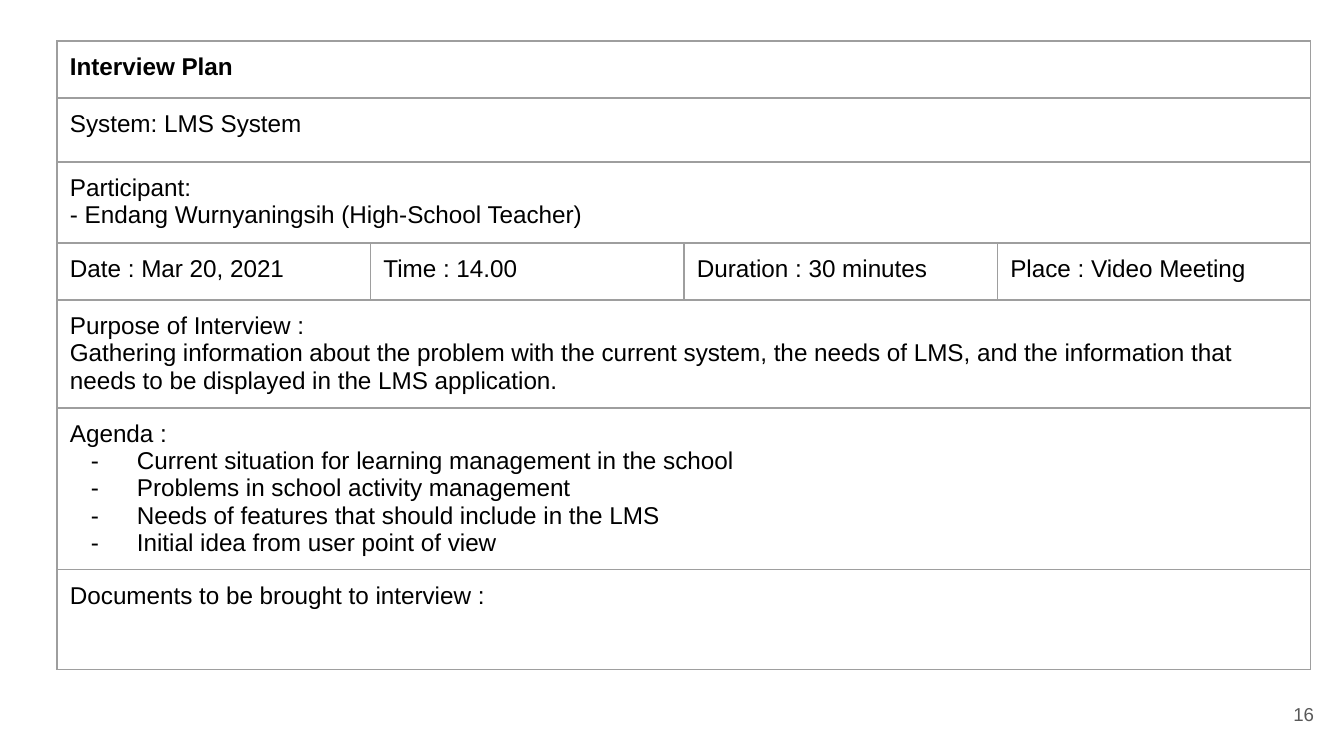
from lxml import etree
from pptx import Presentation
from pptx.dml.color import RGBColor
from pptx.enum.text import MSO_ANCHOR, PP_ALIGN
from pptx.oxml.ns import qn
from pptx.util import Pt

RIGHT = PP_ALIGN.RIGHT
MIDDLE = MSO_ANCHOR.MIDDLE
EMU_PER_PX = 914400 / 134.4
COLORS = {"text": "000000", "border": "9E9E9E", "number": "595959"}
PAD = 13
BORDER_WIDTH = 0.75


def px(n):
    return round(n * EMU_PER_PX)


def style(p, size, color, bold=False):
    for r in p.runs:
        r.font.name = "Arial"
        r.font.size = Pt(size)
        r.font.bold = bold
        r.font.color.rgb = RGBColor.from_string(COLORS[color])


prs = Presentation()
prs.slide_width, prs.slide_height = px(1344), px(756)
s = prs.slides.add_slide(prs.slide_layouts[6])

# Interview plan: row height and the cells of each row
rows = [
    (57, ["Interview Plan"]),
    (64, ["System: LMS System"]),
    (81, ["Participant:\n- Endang Wurnyaningsih (High-School Teacher)"]),
    (57, ["Date : Mar 20, 2021", "Time : 14.00",
          "Duration : 30 minutes", "Place : Video Meeting"]),
    (108, ["Purpose of Interview :\nGathering information about the problem "
           "with the current system, the needs of LMS, and the information "
           "that needs to be displayed in the LMS application."]),
    (162, ["Agenda :\nCurrent situation for learning management in the school\n"
           "Problems in school activity management\n"
           "Needs of features that should include in the LMS\n"
           "Initial idea from user point of view"]),
    (100, ["Documents to be brought to interview :"]),
]
COLS = 4
COL_WIDTH = 1254 / COLS
height = sum(h for h, _ in rows)
table = s.shapes.add_table(len(rows), COLS, px(57), px(41),
                           px(1254), px(height)).table
table.first_row = table.horz_banding = False
for col in table.columns:
    col.width = px(COL_WIDTH)

for i, (row_height, texts) in enumerate(rows):
    table.rows[i].height = px(row_height)

    # Plain cells with thin grey borders
    for cell in table.rows[i].cells:
        cell.fill.background()
        tcPr = cell._tc.get_or_add_tcPr()
        for n, side in enumerate(("lnL", "lnR", "lnT", "lnB")):
            ln = etree.Element(qn(f"a:{side}"), w=str(Pt(BORDER_WIDTH)))
            fill = etree.SubElement(ln, qn("a:solidFill"))
            etree.SubElement(fill, qn("a:srgbClr"), val=COLORS["border"])
            tcPr.insert(n, ln)
    if len(texts) == 1:
        table.cell(i, 0).merge(table.cell(i, COLS - 1))

    # Cell text, with dashes for the agenda items
    for j, text in enumerate(texts):
        cell = table.cell(i, j)
        cell.margin_left = cell.margin_right = px(PAD)
        cell.margin_top = cell.margin_bottom = px(PAD)
        tf = cell.text_frame
        tf.text = text
        for n, p in enumerate(tf.paragraphs):
            if text.startswith("Agenda") and n > 0:
                pPr = p._p.get_or_add_pPr()
                pPr.set("marL", str(px(67)))
                pPr.set("indent", str(px(-46)))
                color = etree.SubElement(pPr, qn("a:buClr"))
                etree.SubElement(color, qn("a:srgbClr"), val=COLORS["text"])
                etree.SubElement(pPr, qn("a:buFont"), typeface="Arial")
                etree.SubElement(pPr, qn("a:buChar"), char="-")
            style(p, 13, "text", bold=i == 0)

# Slide number
sp = s.shapes.add_textbox(px(1246), px(685), px(81), px(58))
tf = sp.text_frame
tf.word_wrap = True
tf.vertical_anchor = MIDDLE
tf.margin_left = tf.margin_right = tf.margin_top = tf.margin_bottom = px(PAD)
tf.text = "16"
p = tf.paragraphs[0]
p.alignment = RIGHT
style(p, 10, "number")

prs.save("out.pptx")
